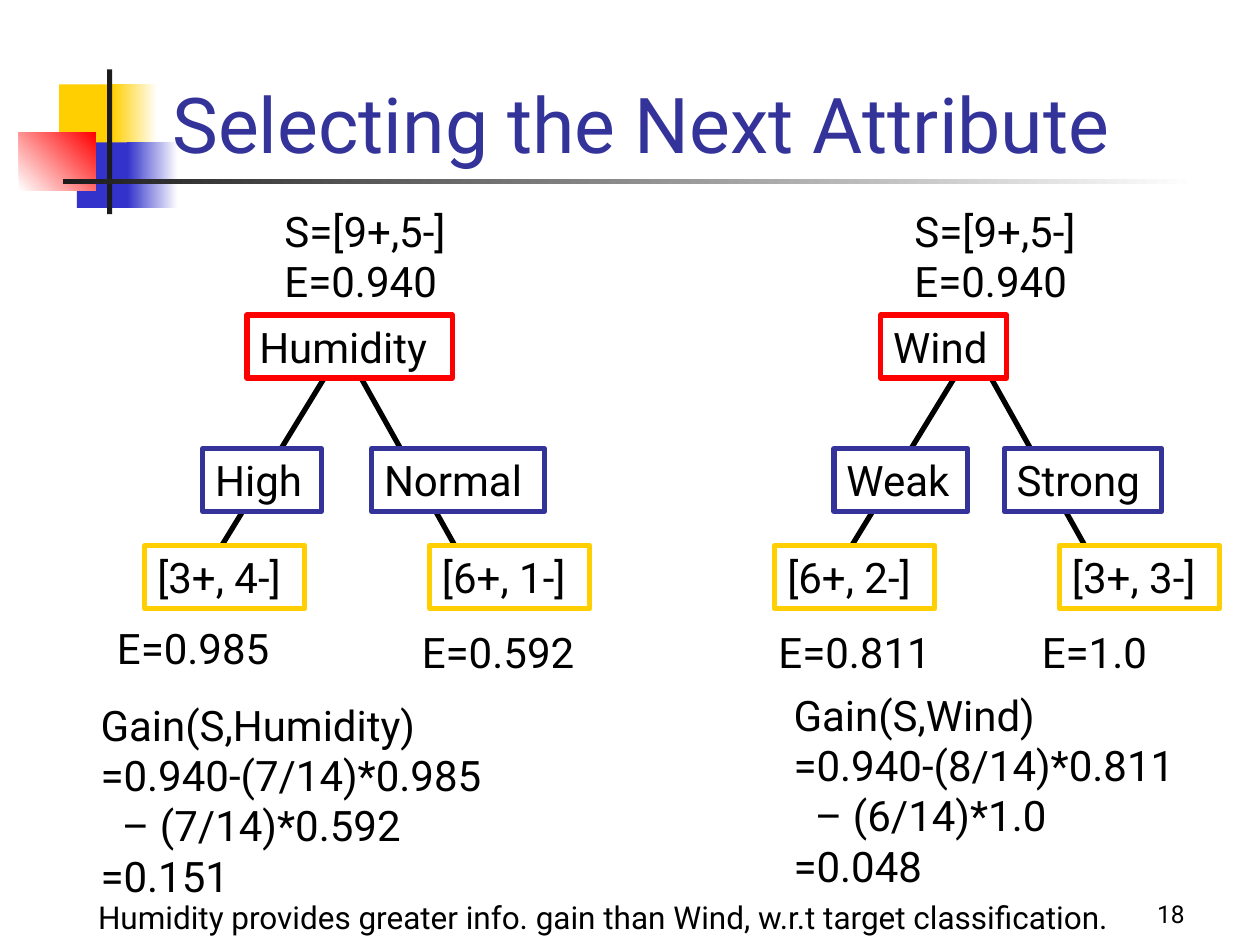
from dataclasses import dataclass

from lxml import etree
from pptx import Presentation
from pptx import util as u
from pptx.dml.color import RGBColor
from pptx.enum import shapes, text
from pptx.oxml.ns import qn

PX = 9144  # 100 px to the inch


@dataclass(frozen=True)
class Theme:
    font: str = "Roboto"
    title: int = 44
    body: int = 24
    note: int = 18
    page: int = 14
    black: str = "000000"
    white: str = "FFFFFF"
    dark: str = "1C1C1C"
    navy: str = "333399"
    blue: str = "3333CC"
    red: str = "FF0000"
    gold: str = "FFCF01"
    edge: int = 3


T = Theme()
rgb = RGBColor.from_string

deck = Presentation()
deck.slide_width, deck.slide_height = 1000 * PX, 750 * PX
slide = deck.slides.add_slide(deck.slide_layouts[6])
items = slide.shapes


def block(at, fill, line=None, fade=None, angle=0):
    """Add a rectangle, solid or fading from fill to fade."""
    shape = items.add_shape(shapes.MSO_SHAPE.RECTANGLE, *[n * PX for n in at])
    shape.shadow.inherit = False
    if fade:
        shape.fill.gradient()
        shape.fill.gradient_angle = angle
        for stop, color in zip(shape.fill.gradient_stops, (fill, fade)):
            stop.color.rgb = rgb(color)
    else:
        shape.fill.solid()
        shape.fill.fore_color.rgb = rgb(fill)
    if line:
        shape.line.color.rgb = rgb(line)
        shape.line.width = u.Pt(T.edge)
    else:
        shape.line.fill.background()
    return shape


def label(at, lines, size=T.body, color=T.black, shape=None,
          anchor=text.MSO_ANCHOR.TOP, align=text.PP_ALIGN.LEFT):
    """Write lines into the shape, or into a new text box at the place given."""
    shape = shape or items.add_textbox(*[n * PX for n in at])
    frame = shape.text_frame
    frame.word_wrap = True
    frame.vertical_anchor = anchor
    for i, line in enumerate(lines):
        para = frame.paragraphs[0] if i == 0 else frame.add_paragraph()
        para.alignment = align
        run = para.add_run()
        run.text = line
        run.font.name = T.font
        run.font.size = u.Pt(size)
        run.font.color.rgb = rgb(color)
    return frame


# Corner ornament and rule
block((47, 67, 48, 52), T.gold)
block((89, 67, 36, 52), T.gold, fade=T.white)
block((61, 113, 46, 52), T.blue)
block((101, 113, 40, 52), T.blue, fade=T.white)
block((15, 105, 61, 46), T.white, fade=T.red, angle=45)
block((85, 55, 4, 115), T.dark)
block((50, 142, 900, 4), T.dark, fade=T.white)

label((742, 692, 208, 50), ["18"], T.page,
      anchor=text.MSO_ANCHOR.BOTTOM, align=text.PP_ALIGN.RIGHT)
label((127, 14, 852, 125), ["Selecting the Next Attribute"], T.title, T.navy,
      anchor=text.MSO_ANCHOR.BOTTOM)

# Each tree: left shift, then (name, left, width) of its root and branches,
# the leaf counts, (entropy, left, top), and the gain with its place
trees = [
    (0, ("Humidity", 196, 163), [("High", 161, 94), ("Normal", 295, 137)],
     ["[3+, 4-]", "[6+, 1-]"], [("E=0.985", 83, 500), ("E=0.592", 325, 492)],
     (70, 550),
     ["Gain(S,Humidity)", "=0.940-(7/14)*0.985", "– (7/14)*0.592", "=0.151"]),
    (500, ("Wind", 699, 100), [("Weak", 662, 106), ("Strong", 797, 125)],
     ["[6+, 2-]", "[3+, 3-]"], [("E=0.811", 608, 492), ("E=1.0", 817, 492)],
     (620, 542),
     ["Gain(S,Wind)", "=0.940-(8/14)*0.811", "– (6/14)*1.0", "=0.048"]),
]
for dx, root, kids, counts, marks, spot, gain in trees:
    for x1, x2 in ((258, 176), (286, 361)):
        link = items.add_connector(shapes.MSO_CONNECTOR.STRAIGHT, (x1 + dx) * PX,
                                   299 * PX, (x2 + dx) * PX, 433 * PX)
        link.line.color.rgb = rgb(T.black)
        link.line.width = u.Pt(T.edge)
        etree.SubElement(link._element.spPr, qn("a:effectLst"))

    nodes = [(*root, 250, T.red)]
    nodes += [(*kid, 356, T.navy) for kid in kids]
    nodes += [(c, x + dx, 127, 433, T.gold) for c, x in zip(counts, (115, 341))]
    for name, x, wide, y, edge in nodes:
        at = (x, y, wide, 50)
        label(at, [name], shape=block(at, T.white, edge))

    label((216 + dx, 158, 156, 90), ["S=[9+,5-]", "E=0.940"])
    for mark, x, y in marks:
        frame = label((x, y, 150, 50 if y == 492 else 38), [mark])
        if y == 500:
            frame.paragraphs[0].line_spacing = 0.7
    frame = label((*spot, 337, 170), gain)
    frame.paragraphs[2]._p.get_or_add_pPr().set("marL", str(17 * PX))

label((68, 708, 880, 40),
      ["Humidity provides greater info. gain than Wind, w.r.t target classification."],
      T.note)

deck.save("out.pptx")
